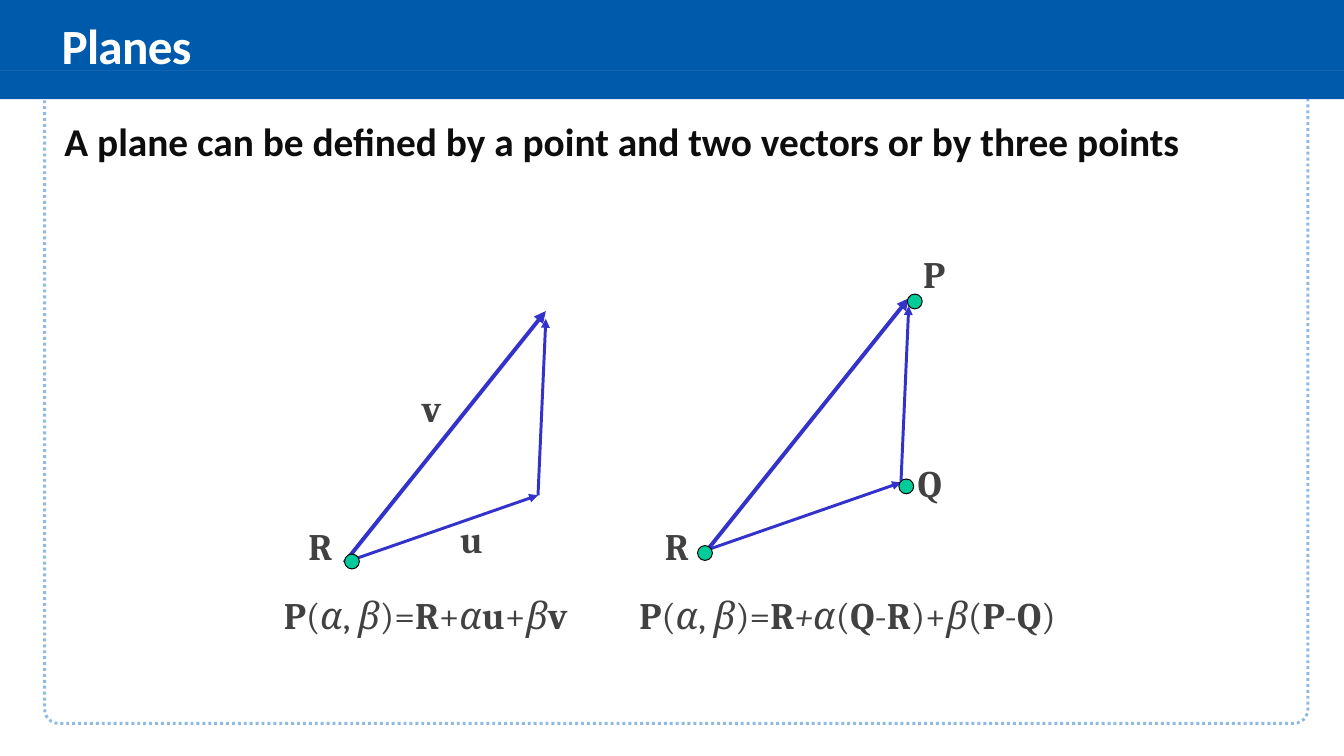
from dataclasses import dataclass

from lxml import etree
from pptx import Presentation
from pptx import util as u
from pptx.dml.color import RGBColor
from pptx.enum import dml, shapes, text
from pptx.oxml import ns

Point = tuple[float, float]


@dataclass(frozen=True)
class Theme:
    blue: str = "005AAB"
    sky: str = "8FBAE1"
    white: str = "FFFFFF"
    ink: str = "0D0D0D"
    gray: str = "414141"
    arrow: str = "3333CC"
    dot: str = "00CC99"
    black: str = "000000"
    sans: str = "Calibri"
    serif: str = "Cambria"
    title: float = 50
    body: float = 40
    math: float = 38


@dataclass(frozen=True)
class Box:
    x: float
    y: float
    w: float
    h: float

    def emu(self) -> list[int]:
        return [u.Inches(n) for n in (self.x, self.y, self.w, self.h)]


@dataclass(frozen=True)
class Label:
    text: str
    box: Box


@dataclass(frozen=True)
class Arrow:
    start: Point
    end: Point
    width: float


LOOK = Theme()
LINE_H = 0.75
DOT = 0.21
PAD = 0.06

BASES: list[Point] = [(4.86, 7.94), (9.98, 7.76)]
TIP, TOP, SIDE = (2.84, -3.55), (2.84, -3.44), (2.73, -0.95)
ARROWS = [Arrow((0, 0), TIP, 4), Arrow((0, 0), SIDE, 3), Arrow(SIDE, TOP, 3)]
DOTS: list[Point] = [(4.86, 7.82), (9.84, 7.7), (12.68, 6.76), (12.8, 4.15)]
LABELS = [
    Label("*P*(_α_, _β_)=*R*+_α_*u*+_β_*v*", Box(3.93, 8.3, 4.15, LINE_H)),
    Label("*P*(_α_, _β_)=*R*_+α_(*Q*-*R*)+_β_(*P*-*Q*)",
          Box(8.83, 8.3, 6.25, LINE_H)),
    Label("*u*", Box(6.43, 7.23, 0.41, LINE_H)),
    Label("*v*", Box(5.89, 5.37, 0.38, LINE_H)),
    Label("*R*", Box(4.27, 7.33, 0.5, LINE_H)),
    Label("*R*", Box(9.3, 7.33, 0.5, LINE_H)),
    Label("*P*", Box(12.96, 3.49, 0.44, LINE_H)),
    Label("*Q*", Box(12.85, 6.43, 0.53, LINE_H)),
]
WAVE: list[Point] = [
    (18.97, 1.24), (18.41, 1.2), (17.24, 1.13), (15.63, 1.15),
    (14.03, 1.16), (10.87, 1.31), (9.31, 1.31),
    (7.75, 1.31), (6.18, 1.34), (4.62, 1.31),
    (3.07, 1.27), (0.78, 1.09), (0, 1.1),
]


def tint(color: str) -> RGBColor:
    return RGBColor.from_string(color)


def paint(shape, fill: str = "", line: str = "", width: float = 1) -> None:
    shape.shadow.inherit = False
    if fill:
        shape.fill.solid()
        shape.fill.fore_color.rgb = tint(fill)
    else:
        shape.fill.background()
    if line:
        shape.line.color.rgb = tint(line)
        shape.line.width = u.Pt(width)
    else:
        shape.line.fill.background()


def add_run(para, words: str, face: str, size: float, color: str,
            bold: bool = True, slant: bool = False):
    run = para.add_run()
    run.text = words
    font = run.font
    font.name, font.size = face, u.Pt(size)
    font.bold, font.italic = bold, slant
    font.color.rgb = tint(color)
    return run


def add_text(slide, box: Box, pad: Point, wrap: bool = True,
             anchor=text.MSO_ANCHOR.MIDDLE):
    frame = slide.shapes.add_textbox(*box.emu()).text_frame
    frame.word_wrap = wrap
    frame.vertical_anchor = anchor
    frame.margin_left = frame.margin_right = u.Inches(pad[0])
    frame.margin_top = frame.margin_bottom = u.Inches(pad[1])
    return frame


def add_label(slide, label: Label) -> None:
    frame = add_text(slide, label.box, (PAD, PAD), wrap=False)
    frame.auto_size = text.MSO_AUTO_SIZE.SHAPE_TO_FIT_TEXT
    para = frame.paragraphs[0]
    para.alignment = text.PP_ALIGN.CENTER
    for i, part in enumerate(label.text.split("*")):
        for j, words in enumerate(part.split("_")):
            if words:
                add_run(para, words, LOOK.serif, LOOK.math, LOOK.gray,
                        i % 2 == 1, j % 2 == 1)


def add_arrow(slide, base: Point, arrow: Arrow) -> None:
    ends = [u.Inches(b + d) for p in (arrow.start, arrow.end)
            for b, d in zip(base, p)]
    line = slide.shapes.add_connector(shapes.MSO_CONNECTOR.STRAIGHT, *ends)
    line.line.color.rgb = tint(LOOK.arrow)
    line.line.width = u.Pt(arrow.width)
    etree.SubElement(line.line._get_or_add_ln(), ns.qn("a:tailEnd"),
                     type="triangle")
    etree.SubElement(line._element.spPr, ns.qn("a:effectLst"))


def curve(nodes: list[Point], steps: int = 24) -> list[Point]:
    points = [nodes[0]]
    for i in range(0, len(nodes) - 1, 3):
        for k in range(1, steps + 1):
            t = k / steps
            s = 1 - t
            mix = (s ** 3, 3 * s * s * t, 3 * s * t * t, t ** 3)
            x, y = (sum(m * p[a] for m, p in zip(mix, nodes[i:i + 4]))
                    for a in (0, 1))
            points.append((x, y))
    return points


def add_frame(slide) -> None:
    kind = shapes.MSO_SHAPE
    edge = slide.shapes.add_shape(kind.ROUNDED_RECTANGLE,
                                  *Box(0.63, 0.29, 17.82, 9.92).emu())
    edge.adjustments[0] = 0.02
    paint(edge, line=LOOK.sky, width=3)
    edge.line.dash_style = dml.MSO_LINE.ROUND_DOT
    band = slide.shapes.add_shape(kind.RECTANGLE, *Box(0, 0, 18.96, 1.4).emu())
    paint(band, LOOK.blue)
    pen = slide.shapes.build_freeform(-0.01, 1.41, scale=u.Inches(1))
    pen.add_line_segments([(18.97, 1.42), *curve(WAVE)], close=True)
    paint(pen.convert_to_shape(), LOOK.sky)


def add_heads(slide) -> None:
    para = add_text(slide, Box(0.77, 0.14, 17.54, 1.11),
                    (0.1, 0.05)).paragraphs[0]
    para.line_spacing = 0.85
    run = add_run(para, "Planes", LOOK.sans, LOOK.title, LOOK.white)
    run.font._element.set("spc", "-70")
    para = add_text(slide, Box(0.77, 1.68, 17.54, 8.53), (0, 0.05),
                    anchor=text.MSO_ANCHOR.TOP).paragraphs[0]
    para.line_spacing = 0.9
    para.space_before, para.space_after = u.Pt(17.1), u.Pt(2.8)
    para._p.get_or_add_pPr().set("marL", str(u.Inches(0.14)))
    add_run(para, "A plane can be defined by a point and two vectors "
            "or by three points", LOOK.sans, LOOK.body, LOOK.ink)


def main() -> None:
    deck = Presentation()
    deck.slide_width, deck.slide_height = u.Inches(18.96), u.Inches(10.67)
    slide = deck.slides.add_slide(deck.slide_layouts[6])
    add_frame(slide)
    add_heads(slide)
    for base in BASES:
        for arrow in ARROWS:
            add_arrow(slide, base, arrow)
    for label in LABELS:
        add_label(slide, label)
    for x, y in DOTS:
        dot = slide.shapes.add_shape(shapes.MSO_SHAPE.OVAL,
                                     *Box(x, y, DOT, DOT).emu())
        paint(dot, LOOK.dot, LOOK.black)
    deck.save("out.pptx")


if __name__ == "__main__":
    main()
